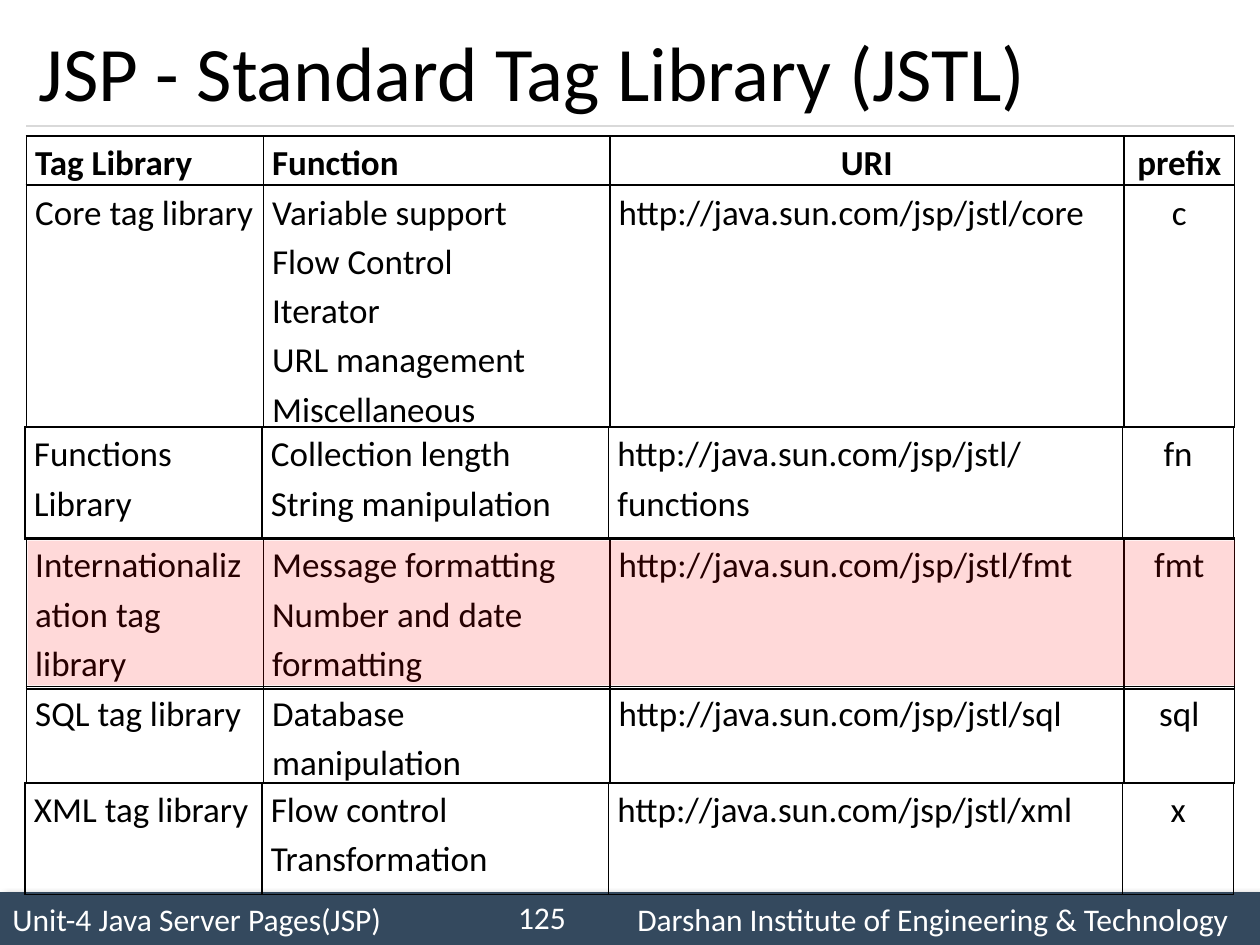
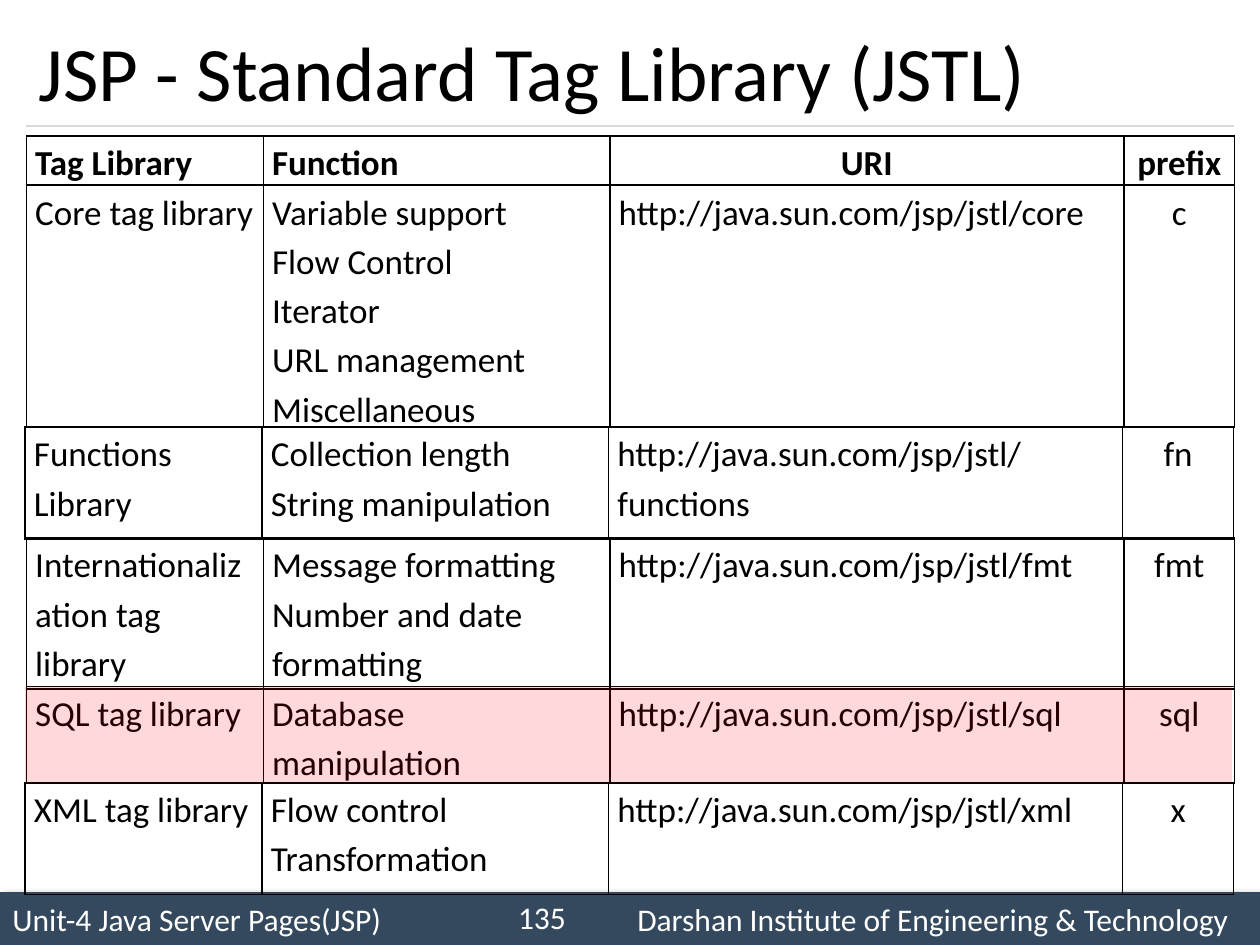
from typing import NamedTuple

import lxml.etree
import pptx
import pptx.dml.color
import pptx.enum.shapes
import pptx.enum.text
import pptx.oxml.ns
import pptx.presentation
import pptx.shapes.autoshape
import pptx.slide
import pptx.table
import pptx.text.text
import pptx.util

Inches = pptx.util.Inches
Pt = pptx.util.Pt
Align = pptx.enum.text.PP_ALIGN
Anchor = pptx.enum.text.MSO_ANCHOR
qn = pptx.oxml.ns.qn

COLORS = {
    "band": "34495E",
    "rule": "D9D9D9",
    "text": "000000",
    "light": "FFFFFF",
    "highlight": "FF0000",
}
FONT = "Calibri"
TITLE = "JSP - Standard Tag Library (JSTL)"
FOOTER = "Unit-4 Java Server Pages(JSP)\tDarshan Institute of Engineering & Technology"
FOOTER_TAB = Inches(4.96)
MARGIN = 0.21
CONTENT_WIDTH = 9.58
COLUMN_WIDTHS = (1.88, 2.75, 4.08, 0.88)
COLUMN_ALIGNMENTS = (Align.LEFT, Align.LEFT, None, Align.CENTER)
URI_BASE = "http://java.sun.com/jsp/jstl/"


class Box(NamedTuple):
    left: float
    top: float
    width: float
    height: float


class Library(NamedTuple):
    name: str
    functions: tuple[str, ...]
    uri: str
    prefix: str
    left: float
    top: float
    height: float
    header: bool = False


class Page(NamedTuple):
    number: str
    highlight: Box


LIBRARIES = (
    Library("Tag Library", ("Function",), "URI", "prefix", 0.21, 1.08, 0.38, True),
    Library(
        "Core tag library",
        ("Variable support", "Flow Control", "Iterator", "URL management", "Miscellaneous"),
        URI_BASE + "core", "c", 0.21, 1.47, 1.89,
    ),
    Library(
        "XML tag library", ("Flow control", "Transformation"),
        URI_BASE + "xml", "x", 0.2, 6.21, 0.89,
    ),
    Library(
        "Internationalization tag library",
        ("Message formatting", "Number and date formatting"),
        URI_BASE + "fmt", "fmt", 0.21, 4.27, 1.2,
    ),
    Library(
        "SQL tag library", ("Database manipulation",),
        URI_BASE + "sql", "sql", 0.21, 5.45, 0.75,
    ),
    Library(
        "Functions Library", ("Collection length", "String manipulation"),
        URI_BASE + "functions", "fn", 0.2, 3.39, 0.89,
    ),
)

PAGES = (
    Page("125", Box(0.22, 4.29, CONTENT_WIDTH, 1.15)),
    Page("135", Box(0.2, 5.45, CONTENT_WIDTH, 0.76)),
)


def rgb(name: str) -> pptx.dml.color.RGBColor:
    return pptx.dml.color.RGBColor.from_string(COLORS[name])


def lengths(box: Box) -> list[pptx.util.Length]:
    return [Inches(value) for value in box]


def add_element(parent, tag: str, **attributes: object):
    values = {name: str(value) for name, value in attributes.items()}
    return lxml.etree.SubElement(parent, qn(tag), values)


def add_run(
    paragraph: pptx.text.text._Paragraph,
    text: str,
    size: int,
    color: str,
    bold: bool = False,
) -> None:
    run = paragraph.add_run()
    run.text = text
    run.font.name = FONT
    run.font.size = Pt(size)
    run.font.bold = bold
    run.font.color.rgb = rgb(color)


def add_text(
    slide: pptx.slide.Slide, box: Box, text: str, size: int, color: str, alignment: Align
) -> None:
    frame = slide.shapes.add_textbox(*lengths(box)).text_frame
    frame.word_wrap = True
    frame.vertical_anchor = Anchor.MIDDLE
    frame.paragraphs[0].alignment = alignment
    add_run(frame.paragraphs[0], text, size, color)


def add_rectangle(
    slide: pptx.slide.Slide, box: Box, color: str
) -> pptx.shapes.autoshape.Shape:
    shape = slide.shapes.add_shape(
        pptx.enum.shapes.MSO_SHAPE.RECTANGLE, *lengths(box)
    )
    shape.shadow.inherit = False
    shape.fill.solid()
    shape.fill.fore_color.rgb = rgb(color)
    shape.line.fill.background()
    return shape


def add_footer(slide: pptx.slide.Slide) -> None:
    band = add_rectangle(slide, Box(0, 7.08, 10, 0.42), "band")
    effects = band.element.spPr.find(qn("a:effectLst"))
    shadow = add_element(
        effects, "a:outerShdw", blurRad=Pt(4), dist=Pt(3), dir=45 * 60000, rotWithShape=0
    )
    shadow_color = add_element(shadow, "a:srgbClr", val=COLORS["text"])
    add_element(shadow_color, "a:alpha", val=40000)
    band.text_frame.vertical_anchor = Anchor.MIDDLE
    paragraph = band.text_frame.paragraphs[0]
    paragraph.alignment = Align.LEFT
    tabs = add_element(paragraph._p.get_or_add_pPr(), "a:tabLst")
    add_element(tabs, "a:tab", pos=FOOTER_TAB, algn="l")
    add_run(paragraph, FOOTER, 18, "light")


def add_title_rule(slide: pptx.slide.Slide) -> None:
    rule = slide.shapes.add_connector(
        pptx.enum.shapes.MSO_CONNECTOR.STRAIGHT,
        Inches(MARGIN), Inches(1), Inches(MARGIN + CONTENT_WIDTH), Inches(1),
    )
    rule.line.color.rgb = rgb("rule")
    rule.line.width = Pt(0.75)
    add_element(rule.element.spPr, "a:effectLst")


def style_cell(cell: pptx.table._Cell) -> None:
    cell.margin_left = cell.margin_right = Inches(0.07)
    cell.margin_top = cell.margin_bottom = Inches(0)
    properties = cell._tc.get_or_add_tcPr()
    for side in ("L", "R", "T", "B"):
        border = add_element(properties, f"a:ln{side}", w=Pt(1))
        fill = add_element(border, "a:solidFill")
        add_element(fill, "a:srgbClr", val=COLORS["text"])
    cell.fill.background()


def add_library(slide: pptx.slide.Slide, library: Library) -> None:
    box = Box(library.left, library.top, CONTENT_WIDTH, library.height)
    table = slide.shapes.add_table(1, len(COLUMN_WIDTHS), *lengths(box)).table
    table.first_row = False
    table.horz_banding = False
    table.rows[0].height = Inches(library.height)
    uri_alignment = Align.CENTER if library.header else Align.LEFT
    contents = ((library.name,), library.functions, (library.uri,), (library.prefix,))
    for index, (width, alignment, lines) in enumerate(
        zip(COLUMN_WIDTHS, COLUMN_ALIGNMENTS, contents)
    ):
        table.columns[index].width = Inches(width)
        cell = table.cell(0, index)
        style_cell(cell)
        frame = cell.text_frame
        for position, line in enumerate(lines):
            paragraph = frame.add_paragraph() if position else frame.paragraphs[0]
            paragraph.alignment = uri_alignment if alignment is None else alignment
            paragraph.line_spacing = 1.15
            add_run(paragraph, line, 20, "text", library.header)


def add_highlight(slide: pptx.slide.Slide, box: Box) -> None:
    shape = add_rectangle(slide, box, "highlight")
    color = shape.element.spPr.find(qn("a:solidFill")).find(qn("a:srgbClr"))
    add_element(color, "a:alpha", val=15000)


def add_page(presentation: pptx.presentation.Presentation, page: Page) -> None:
    slide = presentation.slides.add_slide(presentation.slide_layouts[6])
    add_footer(slide)
    add_title_rule(slide)
    title_box = Box(MARGIN, 0.12, CONTENT_WIDTH, 0.88)
    add_text(slide, title_box, TITLE, 44, "text", Align.LEFT)
    add_text(slide, Box(3.92, 7.08, 0.67, 0.4), page.number, 18, "light", Align.RIGHT)
    for library in LIBRARIES:
        add_library(slide, library)
    add_highlight(slide, page.highlight)


def main() -> None:
    presentation = pptx.Presentation()
    presentation.slide_width = Inches(10)
    presentation.slide_height = Inches(7.5)
    for page in PAGES:
        add_page(presentation, page)
    presentation.save("out.pptx")


if __name__ == "__main__":
    main()
